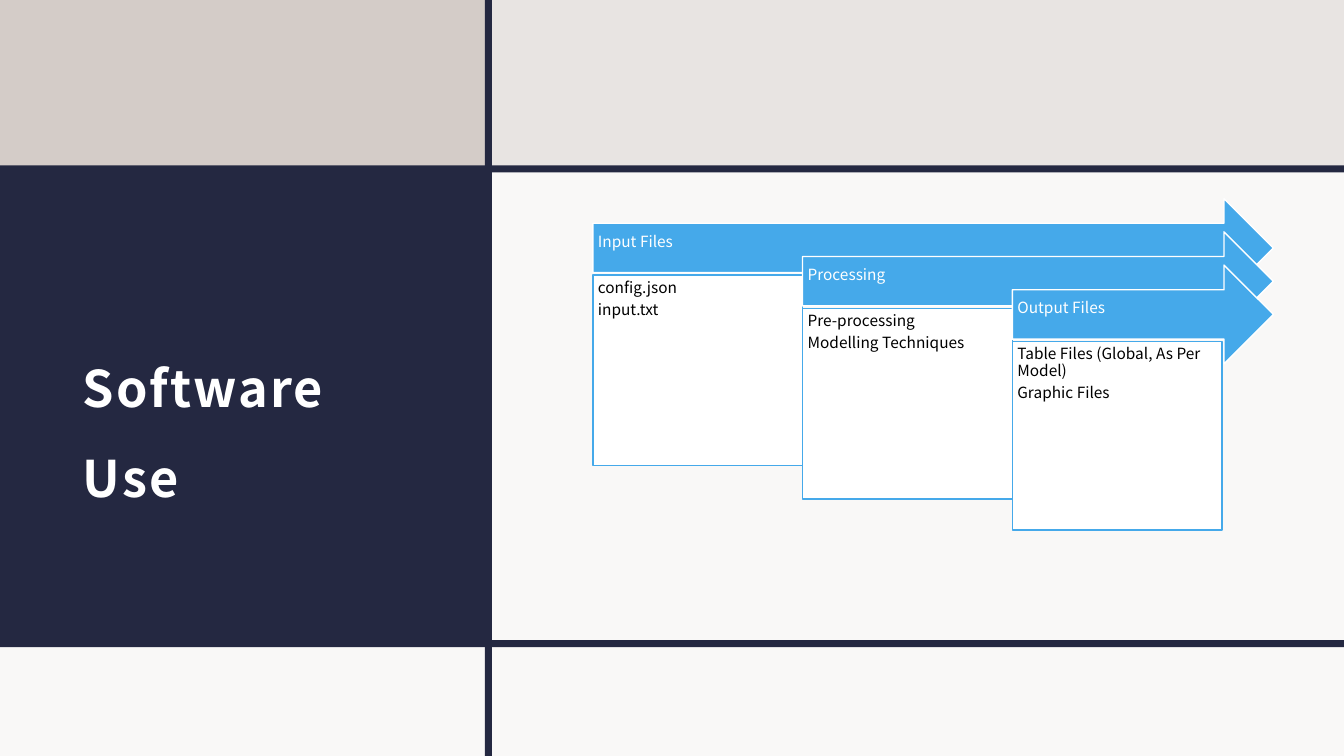
import pptx
import pptx.util
import pptx.oxml.ns
import pptx.dml.color
import pptx.enum.shapes
import pptx.enum.text
from lxml import etree

Inches, Pt = pptx.util.Inches, pptx.util.Pt
SHAPE = pptx.enum.shapes.MSO_SHAPE
ANCHOR = pptx.enum.text.MSO_ANCHOR
ALIGN = pptx.enum.text.PP_ALIGN

FONT = "Noto Sans CJK JP"
COLORS = {"stone": "E8E4E2", "taupe": "D4CCC8", "navy": "242841",
          "blue": "45A9EA", "white": "FFFFFF", "black": "000000"}
SLIDE_W, SLIDE_H = 13.33, 7.5
STAGES = [
    ("Input Files", ["config.json", "input.txt"], 1.89),
    ("Processing", ["Pre-processing", "Modelling Techniques"], 1.89),
    ("Output Files", ["Table Files (Global, As Per Model)", "Graphic Files"], 1.87),
]


def rgb(name):
    return pptx.dml.color.RGBColor.from_string(COLORS[name])


def add_block(slide, kind, box, fill, line=None, alpha=None):
    sp = slide.shapes.add_shape(kind, *map(Inches, box))
    sp.shadow.inherit = False
    sp.fill.solid()
    sp.fill.fore_color.rgb = rgb(fill)
    if alpha:
        clr = sp.fill._xPr.find(".//" + pptx.oxml.ns.qn("a:srgbClr"))
        etree.SubElement(clr, pptx.oxml.ns.qn("a:alpha"), val=str(alpha * 1000))
    if line:
        sp.line.color.rgb = rgb(line)
        sp.line.width = Pt(1)
    else:
        sp.line.fill.background()
    return sp


def set_frame(tf, anchor, insets):
    tf.word_wrap = True
    tf.auto_size = pptx.enum.text.MSO_AUTO_SIZE.NONE
    tf.vertical_anchor = anchor
    tf.margin_left, tf.margin_top, tf.margin_right, tf.margin_bottom = map(Inches, insets)


def add_text(tf, lines, size, color, spacing, after=0, bold=False):
    for i, text in enumerate(lines):
        p = tf.add_paragraph() if i else tf.paragraphs[0]
        p.alignment = ALIGN.LEFT
        p.line_spacing = spacing
        p.space_before = Pt(0)
        p.space_after = Pt(after)
        r = p.add_run()
        r.text = text
        r.font.name = FONT
        r.font.size = Pt(size)
        r.font.bold = bold
        r.font.color.rgb = rgb(color)


def add_panels(slide, left, top, width, height):
    """Colour fields divided by navy bars."""
    col, row1, row2, bar = left + 4.84, top + 1.66, top + 6.41, 0.07
    right, bottom = left + width, top + height
    add_block(slide, SHAPE.RECTANGLE, (left, row1, col - left, row2 - row1), "navy")
    add_block(slide, SHAPE.RECTANGLE, (left, top, col - left, row1 - top), "taupe")
    for box in [(col, row1, right - col, row2 - row1),
                (left, row2, width, bottom - row2)]:
        add_block(slide, SHAPE.RECTANGLE, box, "white", alpha=75)
    for box in [(left, top + 1.64, width, bar), (left, top + 6.35, width, bar),
                (left + 4.81, top, bar, height)]:
        add_block(slide, SHAPE.RECTANGLE, box, "navy")


def add_title(slide, left, top, width, height):
    title = slide.shapes.title
    title.left, title.top = Inches(left), Inches(top)
    title.width, title.height = Inches(width), Inches(height)
    set_frame(title.text_frame, ANCHOR.MIDDLE, (0.12, 0.12, 0.12, 0.1))
    add_text(title.text_frame, ["Software Use"], 36, "white", 1.5, bold=True)
    # Letter spacing, in hundredths of a point
    r = title.text_frame.paragraphs[0].runs[0]
    r.font._element.set("spc", "150")
    # Bring the title in front of the panels
    slide.shapes._spTree.append(title._element)


def add_process(slide, left, top, width):
    """Staggered arrows, each with a detail card below."""
    card_w, step, arrow_h = 2.08, 0.33, 0.98
    for i, (name, details, card_h) in enumerate(STAGES):
        x, y = left + i * card_w, top + i * step
        arrow = add_block(slide, SHAPE.RIGHT_ARROW,
                          (x, y, left + width - x, arrow_h), "blue", "white")
        set_frame(arrow.text_frame, ANCHOR.MIDDLE, (0.05, 0.05, 0.28, 0.16))
        add_text(arrow.text_frame, [name], 11, "white", 0.9, after=4)

        card = add_block(slide, SHAPE.RECTANGLE,
                         (x, y + 0.76, card_w, card_h), "white", "blue")
        set_frame(card.text_frame, ANCHOR.TOP, (0.05,) * 4)
        add_text(card.text_frame, details, 11, "black", 0.9, after=4)


def main():
    prs = pptx.Presentation()
    prs.slide_width, prs.slide_height = Inches(SLIDE_W), Inches(SLIDE_H)
    slide = prs.slides.add_slide(prs.slide_layouts[5])
    slide.background.fill.solid()
    slide.background.fill.fore_color.rgb = rgb("stone")
    add_panels(slide, 0, 0, SLIDE_W, SLIDE_H)
    add_title(slide, 0.7, 2.14, 3.73, 3.98)
    add_process(slide, 5.88, 1.97, 6.75)
    prs.save("out.pptx")


if __name__ == "__main__":
    main()
